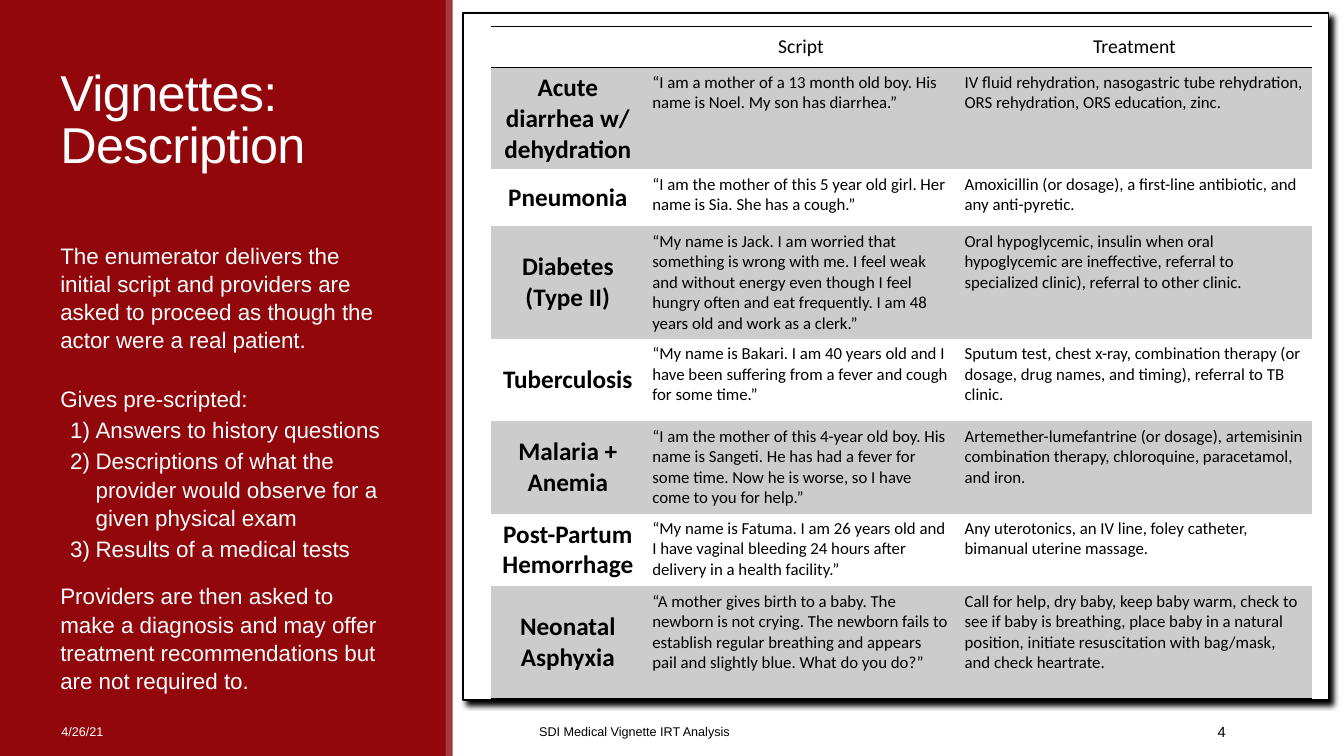
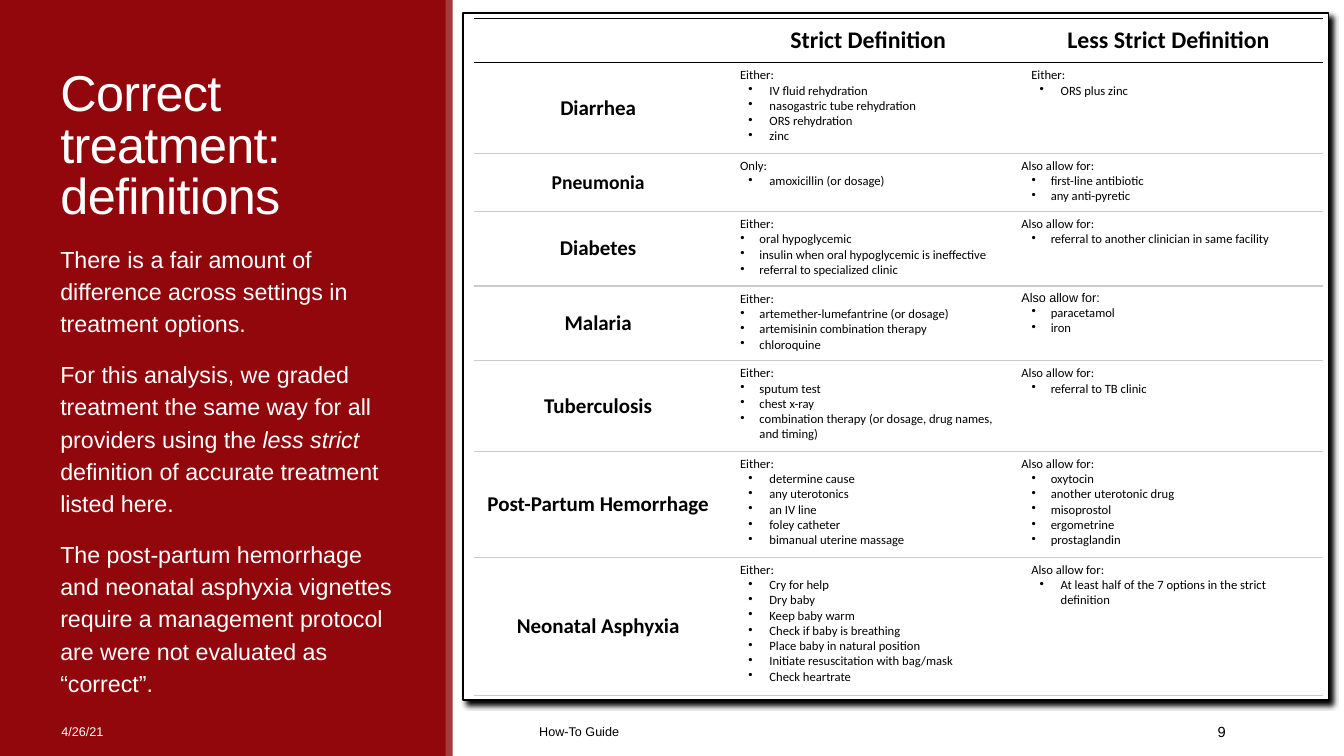
"""Build two slides of medical vignettes: their scripts and their correct treatments."""
from lxml import etree
from pptx import Presentation
from pptx.dml.color import RGBColor
from pptx.enum.shapes import MSO_SHAPE
from pptx.enum.text import MSO_ANCHOR, MSO_AUTO_SIZE, PP_ALIGN
from pptx.oxml.ns import qn
from pptx.util import Cm, Pt

RED = RGBColor(0x91, 0x07, 0x0B)
LIGHT_RED = RGBColor(0xA7, 0x39, 0x3C)
WHITE = RGBColor(0xFF, 0xFF, 0xFF)
BLACK = RGBColor(0, 0, 0)
GRAY = RGBColor(0xCC, 0xCC, 0xCC)
LEFT, CENTER, RIGHT = PP_ALIGN.LEFT, PP_ALIGN.CENTER, PP_ALIGN.RIGHT
TOP, MIDDLE = MSO_ANCHOR.TOP, MSO_ANCHOR.MIDDLE
RECTANGLE = MSO_SHAPE.RECTANGLE
NO_AUTOFIT = MSO_AUTO_SIZE.NONE
PLAIN_TABLE = "{2D5ABB26-0587-4C30-8999-92F81FD0307C}"
DOT = ("a:buChar", "char", "•")
NUMBER = ("a:buAutoNum", "type", "arabicParenR")


def write(frame, lines, color, look, **shared):
    """Write lines of (text or spans, paragraph format) into a text frame."""
    for index, (text, own) in enumerate(lines):
        para = frame.paragraphs[0] if index == 0 else frame.add_paragraph()
        settings = {**shared, **own}
        left, hanging = settings.pop("indents", (0, 0))
        bullet = settings.pop("bullet", None)
        for name, value in settings.items():
            setattr(para, name, value)
        properties = para._p.get_or_add_pPr()
        properties.set("marL", str(Cm(left)))
        properties.set("indent", str(Cm(hanging)))
        if bullet:
            tag, attribute, value = bullet
            etree.SubElement(properties, qn(tag)).set(attribute, value)
        for words, change in [(text, {})] if isinstance(text, str) else text:
            span = para.add_run()
            span.text = words
            span.font.color.rgb = color
            for name, value in {**look, **change}.items():
                setattr(span.font, name, value)


def rule(cell, edge, color):
    """Draw a one-point line on one edge of a table cell."""
    line = etree.Element(qn(edge), w=str(Pt(1)))
    fill = etree.SubElement(line, qn("a:solidFill"))
    etree.SubElement(fill, qn("a:srgbClr"), val=str(color))
    cell._tc.get_or_add_tcPr().insert(0, line)


vignettes = [
    ("", "Script", "Treatment"),
    ("Acute diarrhea w/ dehydration",
     "“I am a mother of a 13 month old boy. His name is Noel. My son has diarrhea.”",
     "IV fluid rehydration, nasogastric tube rehydration, ORS rehydration, ORS education, zinc."),
    ("Pneumonia",
     "“I am the mother of this 5 year old girl. Her name is Sia. She has a cough.”",
     "Amoxicillin (or dosage), a first-line antibiotic, and any anti-pyretic."),
    ("Diabetes\n(Type II)",
     "“My name is Jack. I am worried that something is wrong with me. I feel weak and without "
     "energy even though I feel hungry often and eat frequently. I am 48 years old and work as "
     "a clerk.”",
     "Oral hypoglycemic, insulin when oral hypoglycemic are ineffective, referral to "
     "specialized clinic), referral to other clinic."),
    ("Tuberculosis",
     "“My name is Bakari. I am 40 years old and I have been suffering from a fever and cough "
     "for some time.”",
     "Sputum test, chest x-ray, combination therapy (or dosage, drug names, and timing), "
     "referral to TB clinic."),
    ("Malaria + Anemia",
     "“I am the mother of this 4-year old boy. His name is Sangeti. He has had a fever for some "
     "time. Now he is worse, so I have come to you for help.”",
     "Artemether-lumefantrine (or dosage), artemisinin combination therapy, chloroquine, "
     "paracetamol, and iron."),
    ("Post-Partum Hemorrhage",
     "“My name is Fatuma. I am 26 years old and I have vaginal bleeding 24 hours after delivery "
     "in a health facility.”",
     "Any uterotonics, an IV line, foley catheter, bimanual uterine massage."),
    ("Neonatal Asphyxia",
     "“A mother gives birth to a baby. The newborn is not crying. The newborn fails to establish "
     "regular breathing and appears pail and slightly blue. What do you do?”",
     "Call for help, dry baby, keep baby warm, check to see if baby is breathing, place baby in "
     "a natural position, initiate resuscitation with bag/mask, and check heartrate."),
]
vignette_rows = [[[(line, {}) for line in text.split("\n") if line] for text in row]
                 for row in vignettes]

WIDE, NARROW = (0.99, -0.53), (0.74, -0.48)
ALSO = "Also allow for:"
definitions = [
    ("Diarrhea",
     ("Either:", WIDE, ["IV fluid rehydration", "nasogastric tube rehydration",
                        "ORS rehydration", "zinc"]),
     ("Either:", WIDE, ["ORS plus zinc"])),
    ([("Pneumonia", {"size": Pt(14)})],
     ("Only:", WIDE, ["amoxicillin (or dosage)"]),
     (ALSO, NARROW, ["first-line antibiotic", "any anti-pyretic"])),
    ("Diabetes",
     ("Either:", NARROW, ["oral hypoglycemic", "insulin when oral hypoglycemic is ineffective",
                          "referral to specialized clinic"]),
     (ALSO, NARROW, ["referral to another clinician in same facility"])),
    ("Malaria",
     ("Either:", NARROW, ["artemether-lumefantrine (or dosage)",
                          "artemisinin combination therapy", "chloroquine"]),
     ([(ALSO, {"name": "Arial"})], NARROW, ["paracetamol", "iron"])),
    ("Tuberculosis",
     ("Either:", NARROW, ["sputum test", "chest x-ray",
                          "combination therapy (or dosage, drug names, and timing)"]),
     (ALSO, NARROW, ["referral to TB clinic"])),
    ("Post-Partum Hemorrhage",
     ("Either:", WIDE, ["determine cause", "any uterotonics", "an IV line", "foley catheter",
                        "bimanual uterine massage"]),
     (ALSO, NARROW, ["oxytocin", "another uterotonic drug", "misoprostol", "ergometrine",
                     "prostaglandin"])),
    ("Neonatal Asphyxia",
     ("Either:", WIDE, ["Cry for help", "Dry baby", "Keep baby warm",
                        "Check if baby is breathing", "Place baby in natural position",
                        "Initiate resuscitation with bag/mask", "Check heartrate"]),
     (ALSO, WIDE, ["At least half of the 7 options in the strict definition"])),
]
definition_rows = [[[], [("Strict Definition", {})], [("Less Strict Definition", {})]]]
for condition, *choices in definitions:
    row = [[(condition, {})]]
    for column, (lead, indents, options) in enumerate(choices):
        lead_indent = 0.25 if column == 0 or indents == WIDE else 0
        row.append([(lead, {"indents": (lead_indent, 0)})]
                   + [(option, {"indents": indents, "bullet": DOT}) for option in options])
    definition_rows.append(row)

item = {"indents": (0.89, -0.64), "bullet": NUMBER}
apart = {"space_before": Pt(12)}
pages = [
    {"title": "Vignettes: Description", "footer": "SDI Medical Vignette IRT Analysis",
     "number": "4", "size": 16, "spacing": 1.05,
     "body": [
         ("The enumerator delivers the initial script and providers are asked to proceed as "
          "though the actor were a real patient.", {}),
         ("Gives pre-scripted:", {"space_before": Pt(20)}),
         ("Answers to history questions", item),
         ("Descriptions of what the provider would observe for a given physical exam", item),
         ("Results of a medical tests", item),
         ("Providers are then asked to make a diagnosis and may offer treatment recommendations "
          "but are not required to.", apart)],
     "rows": vignette_rows, "corner": (12.37, 0.66), "columns": (3.88, 7.87, 8.94),
     "heights": (1.04, 2.57, 1.43, 2.84, 2.08, 2.32, 1.83, 2.84),
     "sizes": (14, 18, 12), "bold_header": False, "band": GRAY, "rules": {7: BLACK}},
    {"title": "Correct treatment: definitions", "footer": "How-To Guide",
     "number": "9", "size": 16.6, "spacing": 1.15,
     "body": [
         ("There is a fair amount of difference across settings in treatment options.", {}),
         ([("For this analysis, we graded treatment the same way for all providers using the ", {}),
           ("less strict ", {"italic": True}),
           ("definition of accurate treatment listed here.", {})], apart),
         ("The post-partum hemorrhage and neonatal asphyxia vignettes require a management "
          "protocol are were not evaluated as “correct”.", apart)],
     "rows": definition_rows, "corner": (11.94, 0.46), "columns": (6.27, 7.34, 7.8),
     "heights": (1.12, 2.28, 1.47, 1.88, 1.88, 2.28, 2.67, 3.48),
     "sizes": (17, 15, 9), "bold_header": True, "band": WHITE,
     "rules": {index: GRAY for index in range(1, 8)}},
]

deck = Presentation()
deck.slide_width, deck.slide_height = Cm(33.87), Cm(19.05)

for content in pages:
    page = deck.slides.add_slide(deck.slide_layouts[5])

    for left, top, width, height, color in [
        (0, 0, 11.25, 19.05, RED),
        (11.23, 0, 0.18, 19.05, LIGHT_RED),
        (11.66, 0.33, 21.82, 17.32, WHITE),
    ]:
        panel = page.shapes.add_shape(RECTANGLE, Cm(left), Cm(top), Cm(width), Cm(height))
        panel.shadow.inherit = False
        panel.fill.solid()
        panel.fill.fore_color.rgb = color
        panel.line.fill.background()
    panel.line.color.rgb = BLACK
    panel.line.width = Pt(1.25)
    effects = panel.element.spPr.find(qn("a:effectLst"))
    shadow = etree.SubElement(effects, qn("a:outerShdw"), blurRad=str(Pt(4)), dist=str(Pt(4)),
                              dir="2700000", algn="tl", rotWithShape="0")
    etree.SubElement(shadow, qn("a:srgbClr"), val=str(BLACK))

    title = page.shapes.title
    page.shapes.element.append(title.element)
    title.left, title.top, title.width, title.height = Cm(1.27), Cm(1.65), Cm(8.89), Cm(4.22)
    title.text_frame.auto_size = NO_AUTOFIT
    title.text_frame.vertical_anchor = TOP
    write(title.text_frame, [(content["title"], {})], WHITE,
          {"name": "Arial", "size": Pt(36)}, alignment=LEFT, line_spacing=0.85)
    title.text_frame.paragraphs[0].runs[0]._r.get_or_add_rPr().set("spc", "-50")

    body_format = {"line_spacing": content["spacing"], "space_after": Pt(2)}
    for place, lines, color, size, anchor, settings in [
        ((1.27, 5.94, 8.89, 11.56), content["body"], WHITE, content["size"], TOP, body_format),
        ((1.3, 17.93, 8.86, 1.02), [("4/26/21", {})], WHITE, 9, MIDDLE, {}),
        ((13.34, 17.93, 12.9, 1.02), [(content["footer"], {})], BLACK, 9, MIDDLE, {}),
        ((27.51, 17.93, 3.63, 1.02), [(content["number"], {})], BLACK, 10.5, MIDDLE,
         {"alignment": RIGHT}),
    ]:
        box = page.shapes.add_textbox(*map(Cm, place))
        box.text_frame.word_wrap = True
        box.text_frame.vertical_anchor = anchor
        write(box.text_frame, lines, color, {"name": "Arial", "size": Pt(size)}, **settings)

    rows, columns, heights = content["rows"], content["columns"], content["heights"]
    holder = page.shapes.add_table(len(rows), len(columns), *map(Cm, content["corner"]),
                                   Cm(sum(columns)), Cm(sum(heights)))
    next(holder.element.iter(qn("a:tableStyleId"))).text = PLAIN_TABLE
    table = holder.table
    table.first_row = table.horz_banding = False
    for column, width in zip(table.columns, columns):
        column.width = Cm(width)
    header_size, label_size, detail_size = content["sizes"]
    for row_index, row in enumerate(rows):
        table.rows[row_index].height = Cm(heights[row_index])
        for column_index, lines in enumerate(row):
            cell = table.cell(row_index, column_index)
            cell.margin_left = cell.margin_right = Cm(0.19)
            cell.fill.solid()
            cell.fill.fore_color.rgb = content["band"] if row_index % 2 else WHITE
            if row_index == 0:
                size, bold, centered = header_size, content["bold_header"], True
            elif column_index == 0:
                size, bold, centered = label_size, True, True
            else:
                size, bold, centered = detail_size, False, False
            cell.vertical_anchor = MIDDLE if centered else TOP
            write(cell.text_frame, lines, BLACK,
                  {"name": "Calibri", "size": Pt(size), "bold": bold},
                  alignment=CENTER if centered else LEFT)
            if row_index == 0:
                rule(cell, "a:lnB", BLACK)
                rule(cell, "a:lnT", BLACK)
            elif row_index in content["rules"]:
                rule(cell, "a:lnB", content["rules"][row_index])

deck.save("out.pptx")
